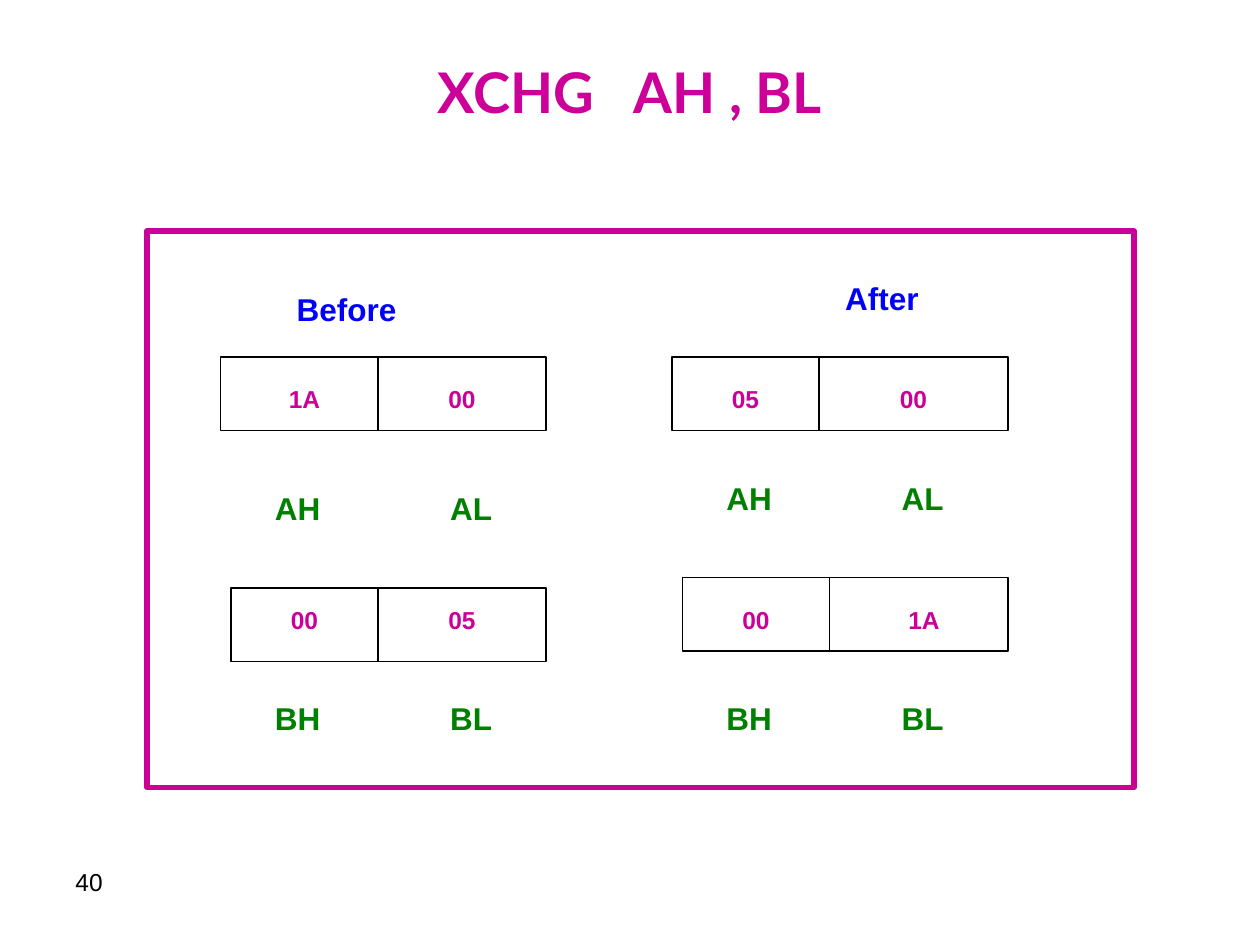
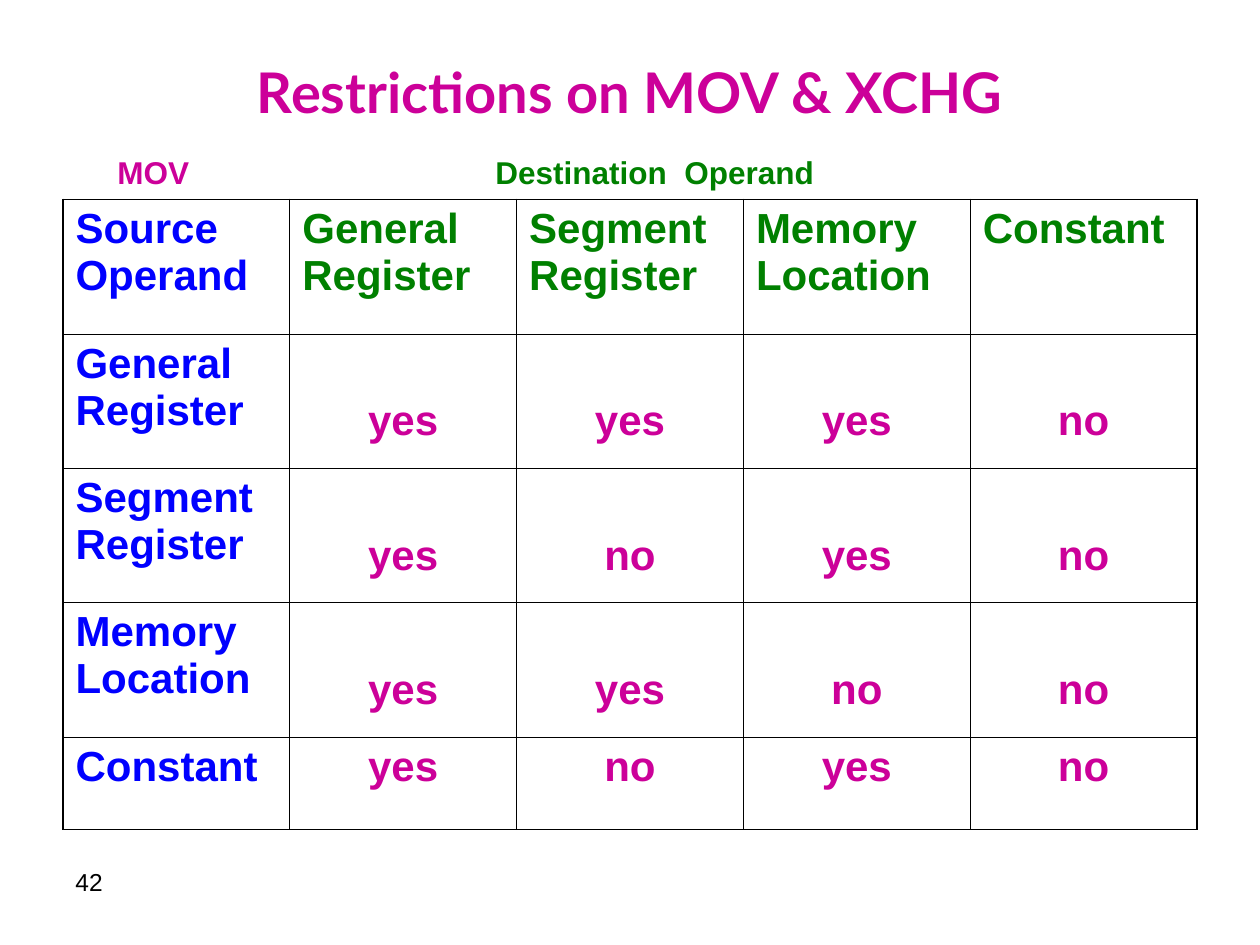
from dataclasses import dataclass
from typing import Any, NamedTuple

from pptx import Presentation
from pptx.dml.color import RGBColor
from pptx.enum.shapes import MSO_CONNECTOR, MSO_SHAPE
from pptx.enum.text import MSO_ANCHOR, PP_ALIGN
from pptx.oxml.ns import qn
from pptx.util import Emu, Pt
from lxml.etree import SubElement

UNIT = 7620  # EMU in one px, 120 px to the inch


def px(n: int) -> Emu:
    return Emu(n * UNIT)


class Style(NamedTuple):
    size: int
    color: str
    bold: bool = True
    name: str = "Arial"
    align: PP_ALIGN = PP_ALIGN.LEFT


@dataclass(frozen=True)
class Theme:
    pink: str = "CC0099"
    blue: str = "0000FF"
    green: str = "008000"
    black: str = "000000"
    thin: float = 0.75
    thick: float = 3
    rule: float = 0.45
    edge: float = 1.08
    title: Style = Style(32, pink, name="Lato", align=PP_ALIGN.CENTER)
    page: Style = Style(14, black, bold=False)
    head: Style = Style(18, blue, align=PP_ALIGN.CENTER)
    label: Style = Style(18, green)
    tag: Style = Style(18, pink)
    value: Style = Style(14, pink, align=PP_ALIGN.CENTER)
    source: Style = Style(24, blue)
    target: Style = Style(24, green)
    answer: Style = Style(24, pink, align=PP_ALIGN.CENTER)


THEME = Theme()


class Box(NamedTuple):
    left: int
    top: int
    width: int
    height: int

    def emu(self) -> list[Emu]:
        return [px(n) for n in self]


class Part(NamedTuple):
    """One run of a line; space is extra letter spacing in points."""
    text: str
    style: Style
    space: float = 0


class Pair(NamedTuple):
    """A register drawn as a high and a low byte."""
    box: Box
    split: int
    step: int
    row: int
    values: tuple[str, str]
    names: tuple[str, str]
    spot: tuple[int, int]


TITLE = Box(60, 36, 1080, 102)
PAGE = Box(60, 820, 280, 62)
FRAME = Box(140, 220, 940, 530)
HEADS = {"Before": Box(210, 270, 240, 48), "After": Box(720, 260, 240, 48)}
A, B = ("AH", "AL"), ("BH", "BL")
PAIRS = [
    Pair(Box(210, 340, 310, 70), 360, 150, 360, ("1A", "00"), A, (250, 460)),
    Pair(Box(640, 340, 320, 70), 780, 160, 360, ("05", "00"), A, (680, 450)),
    Pair(Box(220, 560, 300, 70), 360, 150, 570, ("00", "05"), B, (250, 660)),
    Pair(Box(650, 550, 310, 70), 790, 160, 570, ("00", "1A"), B, (680, 660)),
]
GRID = Box(60, 190, 1080, 600)
ROWS = (128, 128, 128, 128, 88)
LEGEND = Box(100, 140, 980, 48)
KINDS = ["General Register", "Segment Register", "Memory Location", "Constant"]
RULES = ["yes yes yes no", "yes no yes no", "yes yes no no", "yes no yes no"]
CELLS = [["Source Operand", *KINDS]]
CELLS += [[kind, *rule.split()] for kind, rule in zip(KINDS, RULES)]


def apply(item: Any, form: dict[str, Any]) -> None:
    for key, value in form.items():
        setattr(item, key, value)


def write(frame: Any, parts: list[Part], tab: int = 0) -> None:
    """Fill the first paragraph, with one tab stop if asked."""
    para = frame.paragraphs[0]
    para.alignment = parts[0].style.align
    if tab:
        stops = SubElement(para._p.get_or_add_pPr(), qn("a:tabLst"))
        SubElement(stops, qn("a:tab"), pos=str(px(tab)), algn="l")
    for text, style, space in parts:
        run = para.add_run()
        run.text = text
        apply(run.font, {"size": Pt(style.size), "bold": style.bold,
                         "name": style.name})
        run.font.color.rgb = RGBColor.from_string(style.color)
        if space:
            run._r.get_or_add_rPr().set("spc", str(round(space * 100)))


def add_text(slide: Any, box: Box, parts: list[Part], tab: int = 0,
             anchor: MSO_ANCHOR = MSO_ANCHOR.TOP) -> None:
    frame = slide.shapes.add_textbox(*box.emu()).text_frame
    apply(frame, {"word_wrap": True, "vertical_anchor": anchor})
    write(frame, parts, tab)


def stroke(line: Any, color: str, width: float) -> None:
    line.color.rgb = RGBColor.from_string(color)
    line.width = Pt(width)


def add_rect(slide: Any, box: Box, color: str, width: float) -> None:
    rect = slide.shapes.add_shape(MSO_SHAPE.RECTANGLE, *box.emu())
    rect.shadow.inherit = False
    rect.fill.background()
    stroke(rect.line, color, width)


def add_split(slide: Any, x: int, box: Box) -> None:
    """Draw the upright line that halves a register."""
    ends = (x, box.top, x, box.top + box.height)
    line = slide.shapes.add_connector(MSO_CONNECTOR.STRAIGHT, *map(px, ends))
    stroke(line.line, THEME.black, THEME.thin)
    SubElement(line._element.spPr, qn("a:effectLst"))


def add_pair(slide: Any, pair: Pair) -> None:
    add_rect(slide, pair.box, THEME.black, THEME.thin)
    add_split(slide, pair.split, pair.box)
    for i, value in enumerate(pair.values):
        spot = Box(pair.split - 120 + i * pair.step, pair.row, 100, 41)
        add_text(slide, spot, [Part(value, THEME.value)])
    names = Part("\t".join(pair.names), THEME.label)
    add_text(slide, Box(*pair.spot, 240, 84), [names], tab=167)


def add_borders(cell: Any, outer: dict[str, bool]) -> None:
    for side, edge in outer.items():
        width = Pt(THEME.edge if edge else THEME.rule)
        line = SubElement(cell._tc.get_or_add_tcPr(), qn(f"a:ln{side}"),
                          w=str(width))
        fill = SubElement(line, qn("a:solidFill"))
        SubElement(fill, qn("a:srgbClr"), val=THEME.black)


def add_grid(slide: Any) -> None:
    last = len(CELLS) - 1
    table = slide.shapes.add_table(last + 1, last + 1, *GRID.emu()).table
    apply(table, {"first_row": False, "horz_banding": False})
    for row, height in zip(table.rows, ROWS):
        row.height = px(height)
    for col in table.columns:
        col.width = px(GRID.width // (last + 1))
    for r, texts in enumerate(CELLS):
        for c, text in enumerate(texts):
            cell = table.cell(r, c)
            style = (THEME.source if c == 0 else
                     THEME.target if r == 0 else THEME.answer)
            low = style is THEME.answer and r < last
            apply(cell, {"margin_left": px(12), "margin_right": px(12),
                         "margin_top": px(61 if low else 6),
                         "margin_bottom": px(6)})
            add_borders(cell, {"L": c == 0, "R": c == last,
                               "T": r == 0, "B": r == last})
            cell.fill.background()
            write(cell.text_frame, [Part(text, style)])


def add_page(deck: Any, title: list[Part], page: int) -> Any:
    slide = deck.slides.add_slide(deck.slide_layouts[6])
    add_text(slide, TITLE, title, anchor=MSO_ANCHOR.MIDDLE)
    add_text(slide, PAGE, [Part(str(page), THEME.page)])
    return slide


def add_swap(deck: Any) -> None:
    title = [Part("XCHG", THEME.title), Part(" ", THEME.title, 14.4),
             Part("AH , BL", THEME.title)]
    slide = add_page(deck, title, 40)
    add_rect(slide, FRAME, THEME.pink, THEME.thick)
    for text, box in HEADS.items():
        add_text(slide, box, [Part(text, THEME.head)])
    for pair in PAIRS:
        add_pair(slide, pair)


def add_limits(deck: Any) -> None:
    title = [Part("Restrictions on MOV & XCHG", THEME.title)]
    slide = add_page(deck, title, 42)
    add_grid(slide)
    add_text(slide, LEGEND, [
        Part("MOV\t", THEME.tag), Part("Destination", THEME.label),
        Part(" ", THEME.label, 5), Part("Operand", THEME.label)], tab=360)


def main() -> None:
    deck = Presentation()
    apply(deck, {"slide_width": px(1200), "slide_height": px(900)})
    add_swap(deck)
    add_limits(deck)
    deck.save("out.pptx")


if __name__ == "__main__":
    main()
